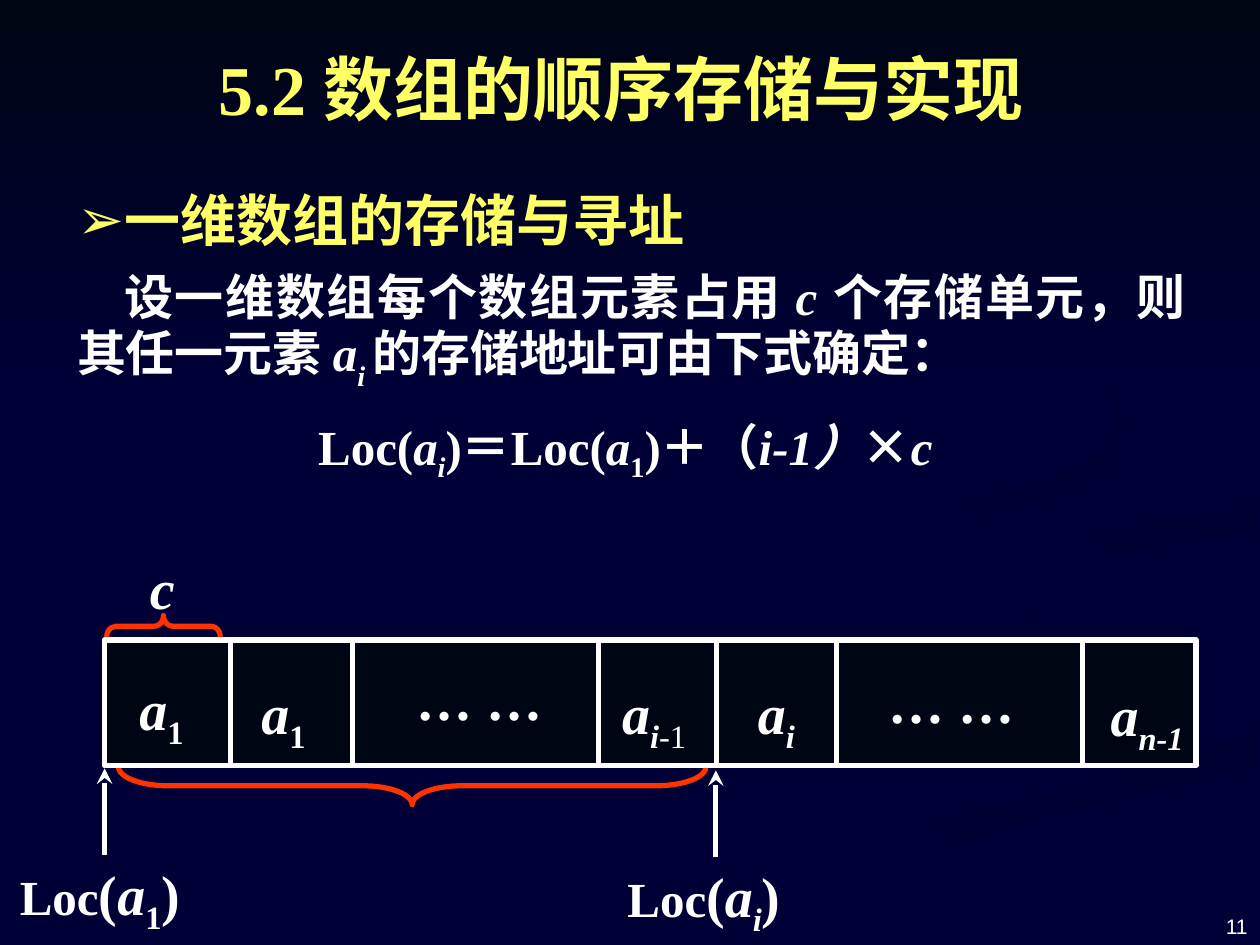
from dataclasses import dataclass

from lxml import etree
from pptx import Presentation
from pptx.dml.color import RGBColor
from pptx.enum.shapes import MSO_CONNECTOR, MSO_SHAPE
from pptx.enum.text import MSO_ANCHOR, MSO_AUTO_SIZE, PP_ALIGN
from pptx.oxml.ns import qn
from pptx.util import Cm, Pt

LEFT, CENTER, RIGHT, JUSTIFY = PP_ALIGN.LEFT, PP_ALIGN.CENTER, PP_ALIGN.RIGHT, PP_ALIGN.JUSTIFY
TOP, MIDDLE, BOTTOM = MSO_ANCHOR.TOP, MSO_ANCHOR.MIDDLE, MSO_ANCHOR.BOTTOM
RECT, BRACE = MSO_SHAPE.RECTANGLE, MSO_SHAPE.LEFT_BRACE
STRAIGHT = MSO_CONNECTOR.STRAIGHT
NO_FIT = MSO_AUTO_SIZE.NONE


@dataclass(frozen=True)
class Theme:
    """Colours, fonts and type sizes of the deck."""
    night: str = "000036"
    shade: str = "000032"
    black: str = "000514"
    yellow: str = "FFFF66"
    white: str = "FFFFFF"
    red: str = "FF3300"
    serif: str = "Times New Roman"
    sans: str = "Noto Sans CJK SC"
    number: str = "Arial"
    title: int = 40
    head: int = 32
    text: int = 28
    small: int = 12
    stroke: int = 3


THEME = Theme()


def rgb(code):
    """Turn a hex code into a colour."""
    return RGBColor.from_string(code)


def write(paragraph, text, size=THEME.text, color=THEME.white, font=THEME.serif,
          bold=True, italic=False, base=0):
    """Add a formatted run; base is the subscript offset in percent."""
    run = paragraph.add_run()
    run.text = text
    run.font.size, run.font.name = Pt(size), font
    run.font.bold, run.font.italic = bold, italic
    run.font.color.rgb = rgb(color)
    props = run.font._element
    if base:
        props.set("baseline", str(base * 1000))
    etree.SubElement(props, qn("a:ea")).set("typeface", THEME.sans)


def write_indexed(paragraph, name, index, size=THEME.head, italic=True, base=-25):
    """Write a variable with its subscript."""
    write(paragraph, name, size=size, italic=True)
    write(paragraph, index, size=size, italic=italic, base=base)


def place(shape, left, top, width, height):
    """Move a shape to a box given in centimetres."""
    shape.left, shape.top, shape.width, shape.height = map(Cm, (left, top, width, height))


def text_box(slide, left, top, width, height, align=LEFT, anchor=TOP, margin=0.0):
    """Add a text box and return its first paragraph."""
    frame = slide.shapes.add_textbox(Cm(left), Cm(top), Cm(width), Cm(height)).text_frame
    frame.word_wrap, frame.vertical_anchor = True, anchor
    frame.margin_left = frame.margin_right = Cm(margin)
    frame.margin_top = frame.margin_bottom = 0
    frame.paragraphs[0].alignment = align
    return frame.paragraphs[0]


def add_line(slide, start, end, arrow=False):
    """Add a white line, with an arrowhead at its end if asked."""
    line = slide.shapes.add_connector(STRAIGHT, *map(Cm, start + end))
    line.line.color.rgb, line.line.width = rgb(THEME.white), Pt(THEME.stroke)
    if arrow:
        etree.SubElement(line.line._get_or_add_ln(), qn("a:tailEnd")).set("type", "stealth")
    etree.SubElement(line.element.spPr, qn("a:effectLst"))


def add_brace(slide, left, top, width, height, rotation, curve):
    """Add a horizontal brace that fills the given box."""
    shift = (width - height) / 2
    brace = slide.shapes.add_shape(
        BRACE, Cm(left + shift), Cm(top - shift), Cm(height), Cm(width))
    brace.rotation, brace.adjustments[0] = rotation, curve
    brace.shadow.inherit = False
    brace.fill.background()
    brace.line.color.rgb, brace.line.width = rgb(THEME.red), Pt(THEME.stroke)


def add_backdrop(slide, width, height):
    """Fill the background and lay a dark band and faint waves behind the text."""
    slide.background.fill.solid()
    slide.background.fill.fore_color.rgb = rgb(THEME.night)
    waves = [
        [(19.84, 11.68), (20.22, 12.14), (20.98, 12.6), (20.45, 12.09), (20.73, 11.74),
         (21.82, 11.25), (25.35, 10.67), (25.35, 10.21), (21.97, 10.77), (20.3, 11.23)],
        [(17.35, 10.92), (19.97, 10.34), (21.72, 9.93), (22.56, 9.19), (22.61, 8.23),
         (21.95, 7.39), (20.85, 6.63), (19.36, 5.92), (21.49, 7.09), (22.48, 8.13),
         (22.25, 9.14), (21.39, 9.6), (19.38, 10.11), (16.48, 10.67), (15.16, 11.1),
         (14.66, 11.73), (14.99, 12.29), (15.8, 12.7), (15.09, 12.07), (15.27, 11.58)],
        [(12.78, 19.02), (14.5, 19.02), (17.02, 17.81), (20.85, 16.51), (25.35, 15.47),
         (25.35, 14.76), (22.94, 15.49), (19.41, 16.41), (16.0, 17.6)],
    ]
    pieces = []
    for first, *rest in waves:
        builder = slide.shapes.build_freeform(Cm(first[0]), Cm(first[1]))
        builder.add_line_segments([(Cm(x), Cm(y)) for x, y in rest])
        pieces.append((builder.convert_to_shape(), THEME.shade, 225))
    band = slide.shapes.add_shape(RECT, 0, 0, Cm(width), Cm(height))
    pieces.append((band, THEME.black, 270))
    for piece, start, angle in reversed(pieces):
        piece.shadow.inherit = False
        piece.line.fill.background()
        piece.fill.gradient()
        piece.fill.gradient_angle = angle
        for stop, color in zip(piece.fill.gradient_stops, (start, THEME.night)):
            stop.color.rgb = rgb(color)
        piece.element.getparent().insert(2, piece.element)


def add_title(slide, *box):
    """Fill the title placeholder."""
    title = slide.shapes.title
    place(title, *box)
    title.text_frame.auto_size, title.text_frame.vertical_anchor = NO_FIT, MIDDLE
    paragraph = title.text_frame.paragraphs[0]
    paragraph.alignment = CENTER
    write(paragraph, "5.2 数组的顺序存储与实现", size=THEME.title, color=THEME.yellow)


def format_paragraph(paragraph, align, leading, before=0, margin=0.0, indent=0.0, bullet=None):
    """Set alignment, spacing in points, indents in centimetres and the bullet."""
    paragraph.alignment, paragraph.line_spacing = align, Pt(leading)
    paragraph.space_before, paragraph.space_after = Pt(before), Pt(0)
    props = paragraph._p.get_or_add_pPr()
    props.set("marL", str(Cm(margin)))
    props.set("indent", str(Cm(indent)))
    mark = etree.SubElement(props, qn("a:buChar" if bullet else "a:buNone"))
    if bullet:
        mark.set("char", bullet)


def add_body(slide, *box):
    """Fill the body placeholder with heading, explanation and formula."""
    body = slide.placeholders[1]
    place(body, *box)
    frame = body.text_frame
    frame.auto_size, frame.vertical_anchor = NO_FIT, TOP

    heading = frame.paragraphs[0]
    format_paragraph(heading, LEFT, 41, margin=0.95, indent=-0.95, bullet="➢")
    write(heading, "一维数组的存储与寻址", size=THEME.head, color=THEME.yellow)

    explanation = frame.add_paragraph()
    format_paragraph(explanation, JUSTIFY, 38, before=3.5, indent=0.95)
    write(explanation, "设一维数组每个数组元素占用 ", font=THEME.sans)
    write(explanation, "c ", italic=True)
    write(explanation, "个存储单元，则其任一元素 ", font=THEME.sans)
    write_indexed(explanation, "a", "i ", size=THEME.text, base=-30)
    write(explanation, "的存储地址可由下式确定：")

    formula = frame.add_paragraph()
    format_paragraph(formula, CENTER, 38, before=14)
    for index, italic, operator in (("i", True, "＝"), ("1", False, "＋（")):
        write(formula, "Loc(")
        write_indexed(formula, "a", index, size=THEME.text, italic=italic)
        write(formula, ")")
        write(formula, operator, font=THEME.sans)
    write(formula, "i-1）", italic=True)
    write(formula, "×", font=THEME.sans)
    write(formula, "c ", italic=True)


def add_address(slide, left, top, label_left, index, italic):
    """Add an arrow up to a cell border and the address label under it."""
    add_line(slide, (left, top + 1.75), (left, top), arrow=True)
    label = text_box(slide, label_left, top + 1.83, 4.29, 1.36, margin=0.25)
    write(label, "Loc")
    write(label, "(", size=THEME.head)
    write_indexed(label, "a", index, italic=italic)
    write(label, ")", size=THEME.head)


def add_array(slide, left, top, width, height):
    """Draw the array cells with their labels, braces and addresses."""
    add_brace(slide, left + 0.28, top + height + 0.02, 11.84, 0.76, 270, 1.32)
    add_brace(slide, left + 0.04, top - 0.49, 2.29, 0.43, 90, 0.44)
    size_label = text_box(slide, left + 0.66, top - 1.75, 1.1, 1.35, margin=0.25)
    write(size_label, "c", size=THEME.head, italic=True)

    cells = slide.shapes.add_shape(RECT, Cm(left), Cm(top), Cm(width), Cm(height))
    cells.shadow.inherit = False
    cells.fill.solid()
    cells.fill.fore_color.rgb = rgb(THEME.black)
    cells.line.color.rgb, cells.line.width = rgb(THEME.white), Pt(THEME.stroke)
    for border in (2.54, 5.0, 9.96, 12.34, 14.76, 19.71):
        add_line(slide, (left + border, top), (left + border, top + height))

    for offset, drop, index, italic in ((0.7, 0.7, "1", False), (3.16, 0.77, "1", False),
                                        (10.43, 0.77, "i", True), (13.17, 0.77, "i", True),
                                        (20.28, 0.82, "n-1", True)):
        element = text_box(slide, left + offset, top + drop, 1.9, 1.35)
        write_indexed(element, "a", index, italic=italic)
        if offset == 10.43:
            write(element, "-1", size=THEME.head, bold=False, base=-25)
    for offset, drop in ((5.77, 0.5), (15.29, 0.56)):
        dots = text_box(slide, left + offset, top + drop, 3.58, 1.35, align=CENTER)
        write(dots, "… …", size=THEME.head)

    add_address(slide, left, top + height + 0.05, left - 1.96, "1", False)
    add_address(slide, left + 12.32, top + height + 0.09, left + 10.29, "i", True)


def add_page_number(slide, *box):
    """Write the page number in the corner."""
    page = text_box(slide, *box, align=RIGHT, anchor=BOTTOM, margin=0.25)
    write(page, "11", size=THEME.small, font=THEME.number, bold=False)


def main():
    """Build and save the slide."""
    deck = Presentation()
    deck.slide_width, deck.slide_height = Cm(25.4), Cm(19.05)
    slide = deck.slides.add_slide(deck.slide_layouts[1])
    add_backdrop(slide, 25.4, 7.82)
    add_title(slide, 1.09, 0.41, 22.86, 2.72)
    add_body(slide, 1.3, 3.53, 22.86, 6.12)
    add_array(slide, 2.11, 12.9, 22.0, 2.54)
    add_page_number(slide, 19.48, 17.73, 5.92, 1.2)
    deck.save("out.pptx")


main()
